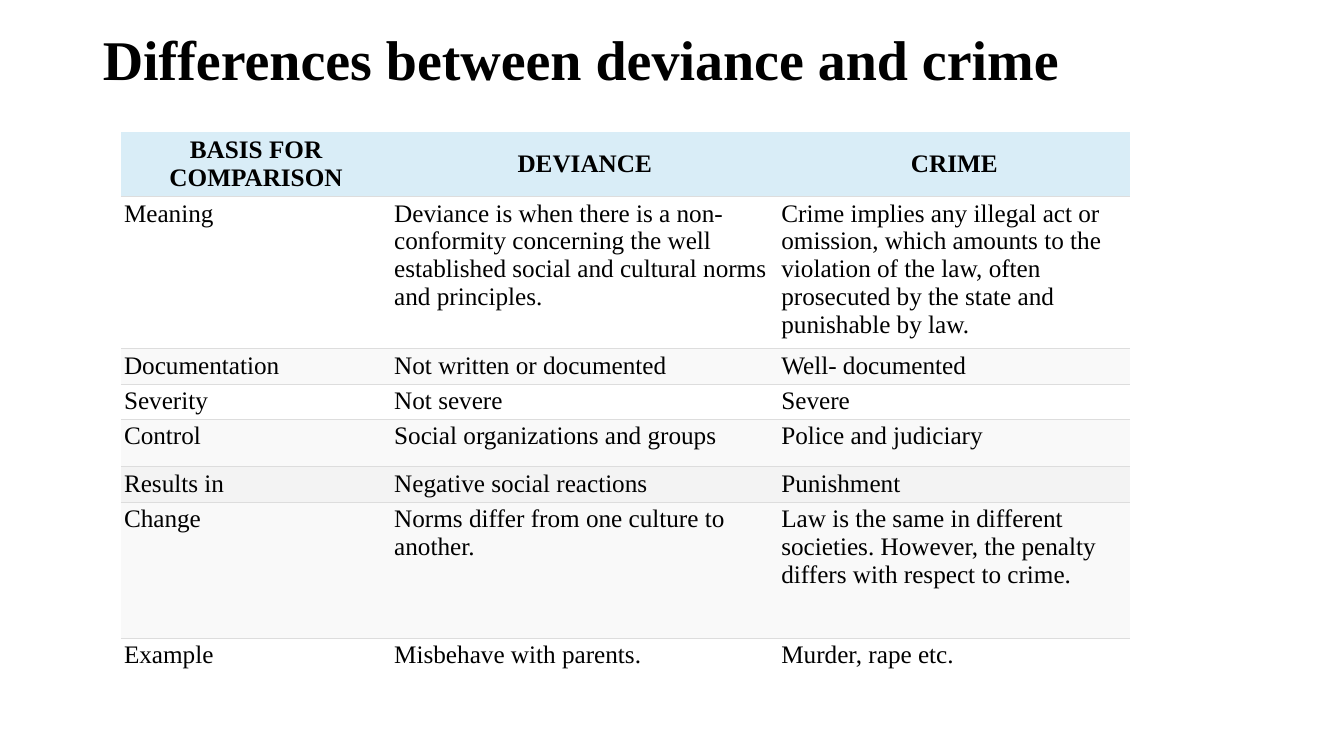
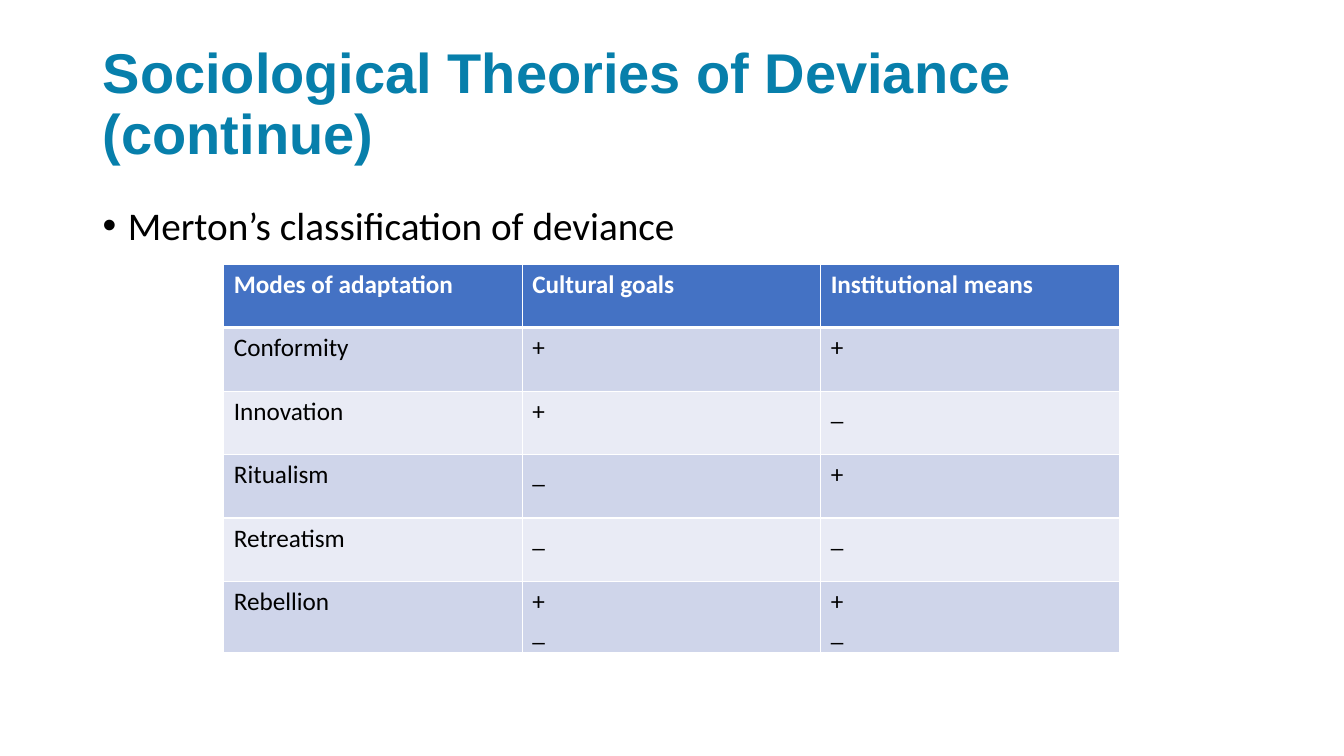
from lxml.etree import SubElement
from pptx import Presentation
from pptx.dml.color import RGBColor
from pptx.enum.text import MSO_ANCHOR, MSO_AUTO_SIZE, PP_ALIGN
from pptx.oxml import parse_xml
from pptx.oxml.ns import nsdecls, qn
from pptx.util import Inches, Pt

BLACK = RGBColor(0x00, 0x00, 0x00)
WHITE = RGBColor(0xFF, 0xFF, 0xFF)
TEAL = RGBColor(0x07, 0x7F, 0xAB)
RULE_GREY = RGBColor(0xDD, 0xDD, 0xDD)
PALE_GREY = RGBColor(0xF9, 0xF9, 0xF9)
MID_GREY = RGBColor(0xF3, 0xF3, 0xF3)
PALE_BLUE = RGBColor(0xD9, 0xED, 0xF7)
HEADER_BLUE = RGBColor(0x44, 0x72, 0xC4)
BAND_DARK = RGBColor(0xCF, 0xD5, 0xEA)
BAND_LIGHT = RGBColor(0xE9, 0xEB, 0xF5)

LEFT, WIDTH = Inches(0.92), Inches(11.5)
TITLE_FORMAT = {"size": Pt(40), "bold": True}
HEADER_FORMAT = {"size": Pt(18), "bold": True}
CELL_FORMAT = {"size": Pt(18), "bold": False}


def write(paragraph, text, color, font_format):
    run = paragraph.add_run()
    run.text = text
    run.font.color.rgb = color
    for attribute, value in font_format.items():
        setattr(run.font, attribute, value)


def draw_table(slide, place, columns, heights, rows, fills, font, header, cell_format, borders):
    left, top = place
    table = slide.shapes.add_table(
        len(rows), len(columns), Inches(left), Inches(top),
        Inches(sum(columns)), Inches(sum(heights))).table
    table.horz_banding = False
    for column, width in zip(table.columns, columns):
        column.width = Inches(width)
    for row_index, (row, height, texts, fill) in enumerate(zip(table.rows, heights, rows, fills)):
        row.height = Inches(height)
        is_header = row_index == 0
        for cell, text in zip(row.cells, texts):
            for attribute, value in (cell_format | (header["cell"] if is_header else {})).items():
                setattr(cell, attribute, value)
            cell.fill.solid()
            cell.fill.fore_color.rgb = fill
            frame = cell.text_frame
            for line_index, line in enumerate(text.split("\n")):
                paragraph = frame.add_paragraph() if line_index else frame.paragraphs[0]
                if is_header:
                    paragraph.alignment = header["alignment"]
                write(paragraph, line, header["color"] if is_header else BLACK,
                      (HEADER_FORMAT if is_header else CELL_FORMAT) | {"name": font})
            properties = cell._tc.get_or_add_tcPr()
            for position, (side, (color, points)) in enumerate(borders(row_index, len(rows)).items()):
                paint = f'<a:solidFill><a:srgbClr val="{color}"/></a:solidFill>' if points else "<a:noFill/>"
                properties.insert(position, parse_xml(
                    f'<a:ln{side} {nsdecls("a")} w="{Pt(points)}">{paint}</a:ln{side}>'))


presentation = Presentation()
presentation.slide_width = Inches(13.33)
presentation.slide_height = Inches(7.5)

titles = [
    ("Differences between deviance and crime", 0.18, 0.88, "Times New Roman", BLACK),
    ("Sociological Theories of Deviance (continue)", 0.4, 1.3, "Arial", TEAL),
]
slides = []
for text, top, height, font, color in titles:
    slide = presentation.slides.add_slide(presentation.slide_layouts[5])
    title = slide.shapes.title
    title_place = {"left": LEFT, "top": Inches(top), "width": WIDTH, "height": Inches(height)}
    for attribute, value in title_place.items():
        setattr(title, attribute, value)
    frame_format = {"word_wrap": True, "auto_size": MSO_AUTO_SIZE.NONE,
                    "vertical_anchor": MSO_ANCHOR.MIDDLE}
    for attribute, value in frame_format.items():
        setattr(title.text_frame, attribute, value)
    heading = title.text_frame.paragraphs[0]
    heading.alignment = PP_ALIGN.LEFT
    heading.line_spacing = 0.9
    write(heading, text, color, TITLE_FORMAT | {"name": font})
    slides.append(slide)
differences, theories = slides

comparison_rows = [
    ("BASIS FOR COMPARISON", "DEVIANCE", "CRIME"),
    ("Meaning",
     "Deviance is when there is a non-conformity concerning the well established social and "
     "cultural norms and principles.",
     "Crime implies any illegal act or omission, which amounts to the violation of the law, "
     "often prosecuted by the state and punishable by law."),
    ("Documentation", "Not written or documented", "Well- documented"),
    ("Severity", "Not severe", "Severe"),
    ("Control", "Social organizations and groups", "Police and judiciary"),
    ("Results in", "Negative social reactions", "Punishment"),
    ("Change", "Norms differ from one culture to another.",
     "Law is the same in different societies. However, the penalty differs with respect to crime."),
    ("Example", "Misbehave with parents.", "Murder, rape etc."),
]
draw_table(
    differences, (1.2, 1.31), [2.68, 3.84, 3.49],
    [0.64, 1.51, 0.35, 0.35, 0.47, 0.35, 1.35, 1.1], comparison_rows,
    [PALE_BLUE, WHITE, PALE_GREY, WHITE, PALE_GREY, MID_GREY, PALE_GREY, WHITE],
    "Times New Roman",
    {"color": BLACK, "alignment": PP_ALIGN.CENTER, "cell": {"vertical_anchor": MSO_ANCHOR.MIDDLE}},
    {f"margin_{side}": Inches(0.03) for side in ("left", "right", "top", "bottom")},
    lambda row, count: {
        "L": (RULE_GREY, 0), "R": (RULE_GREY, 0),
        "T": (RULE_GREY, 0.6 if row else 0),
        "B": (RULE_GREY, 0.6 if row < count - 1 else 0)})

classification = theories.shapes.add_textbox(LEFT, Inches(2), WIDTH, Inches(0.6)).text_frame
classification.word_wrap = True
bullet = classification.paragraphs[0]
bullet.line_spacing = 0.9
bullet_properties = bullet._p.get_or_add_pPr()
bullet_properties.set("marL", str(Inches(0.25)))
bullet_properties.set("indent", str(-Inches(0.25)))
SubElement(bullet_properties, qn("a:buFont")).set("typeface", "Arial")
SubElement(bullet_properties, qn("a:buChar")).set("char", "•")
write(bullet, "Merton’s classification of deviance", BLACK, {"size": Pt(28), "name": "Calibri"})

adaptation_rows = [
    ("Modes of adaptation", "Cultural goals", "Institutional means"),
    ("Conformity", "+", "+"),
    ("Innovation", "+", "_"),
    ("Ritualism", "_", "+"),
    ("Retreatism", "_", "_"),
    ("Rebellion", "+\n_", "+\n_"),
]
draw_table(
    theories, (2.22, 2.62), [2.96] * 3, [0.63] * len(adaptation_rows), adaptation_rows,
    [HEADER_BLUE] + [BAND_DARK, BAND_LIGHT] * 2 + [BAND_DARK],
    "Calibri", {"color": WHITE, "alignment": PP_ALIGN.LEFT, "cell": {}}, {},
    lambda row, count: {
        "L": (WHITE, 1), "R": (WHITE, 1),
        "T": (WHITE, 3 if row == 1 else 1),
        "B": (WHITE, 1 if row else 3)})

presentation.save("out.pptx")
